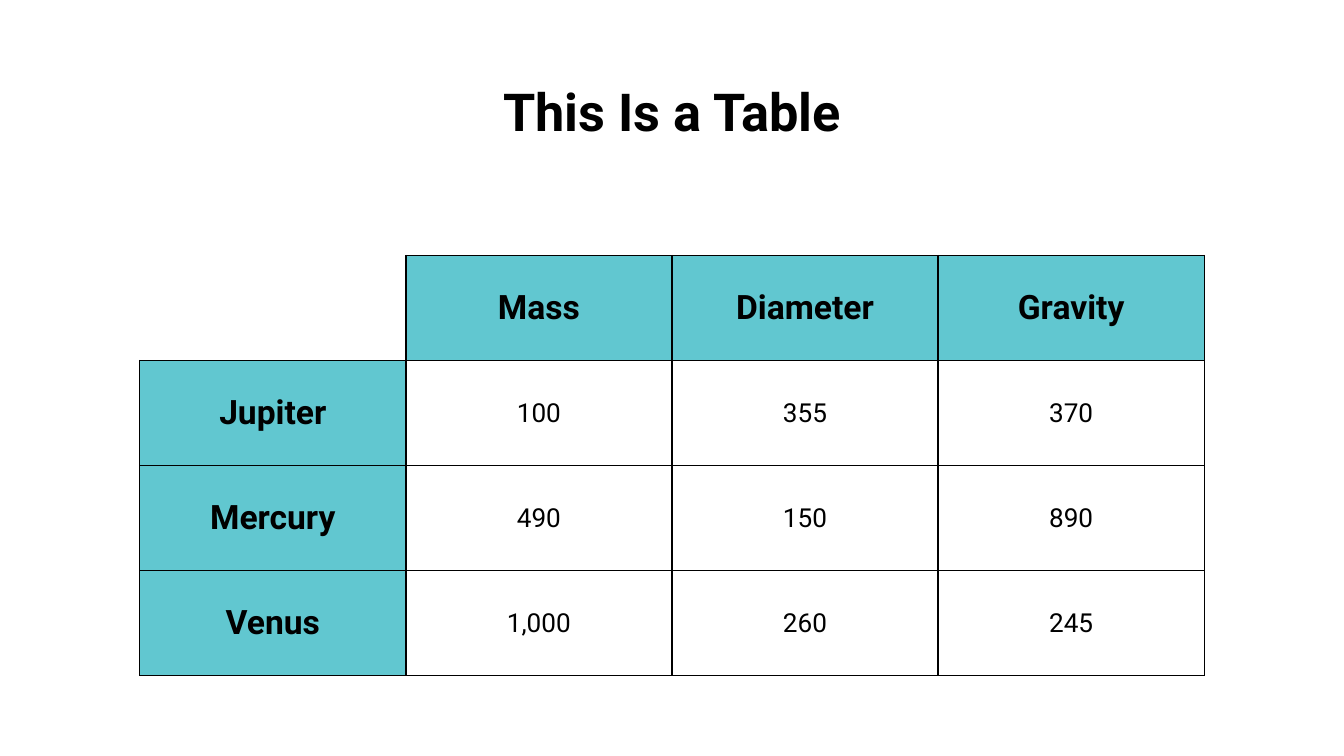
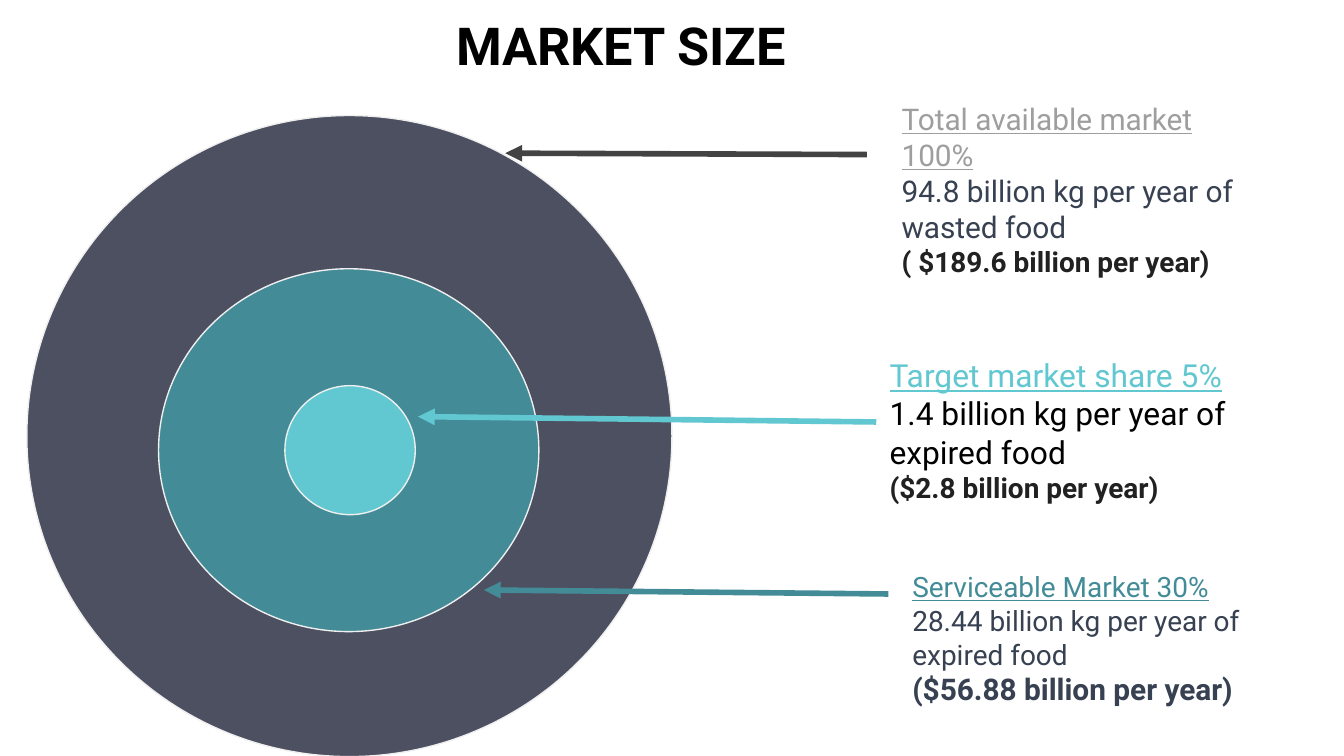
"""Build a planet table slide and a market size slide."""
import pptx
import pptx.chart.data
import pptx.dml.color
import pptx.enum.shapes
import pptx.enum.text
import pptx.oxml
import pptx.oxml.ns
import pptx.util

Inches = pptx.util.Inches
Pt = pptx.util.Pt
MID = pptx.enum.text.PP_ALIGN.CENTER
NS = pptx.oxml.ns.nsdecls("a")
AQUA, TEAL, SLATE = "61C7D0", "438C97", "4D5061"
BLACK, WHITE, PALE = "000000", "FFFFFF", "EFEFEF"
INK, COAL = "374151", "212121"


def color(code):
    return pptx.dml.color.RGBColor.from_string(code)


def write(frame, rows, align=None):
    frame.word_wrap = True
    frame.margin_left = frame.margin_right = Inches(0.1)
    frame.margin_top = frame.margin_bottom = Inches(0.1)
    for i, (text, size, code, style) in enumerate(rows):
        para = frame.add_paragraph() if i else frame.paragraphs[0]
        para.text = text
        para.alignment = align
        para.font.name = "Roboto"
        para.font.size = Pt(size)
        para.font.color.rgb = color(code)
        para.font.bold = style == "bold"
        para.font.underline = style == "line"


deck = pptx.Presentation()
deck.slide_width = Inches(10)
deck.slide_height = Inches(5.625)

slides = []
for title, left, top in [("This Is a Table", 0.78, 0.49), ("MARKET SIZE", 0.4, 0)]:
    slide = deck.slides.add_slide(deck.slide_layouts[6])
    slide.background.fill.solid()
    slide.background.fill.fore_color.rgb = color(WHITE)
    box = slide.shapes.add_textbox(Inches(left), Inches(top), Inches(8.44), Inches(0.63))
    write(box.text_frame, [(title, 28, BLACK, "bold")], MID)
    slides.append(slide)
planets, market = slides

data = [
    ["", "Mass", "Diameter", "Gravity"],
    ["Jupiter", "100", "355", "370"],
    ["Mercury", "490", "150", "890"],
    ["Venus", "1,000", "260", "245"],
]
table = planets.shapes.add_table(
    4, 4, Inches(1.04), Inches(1.9), Inches(7.92), Inches(3.13)).table
table.first_row = table.horz_banding = False
for r, row in enumerate(data):
    for c, text in enumerate(row):
        cell = table.cell(r, c)
        for side in "LRTB":
            bare = not text and side in "LT"
            paint = "<a:noFill/>" if bare else (
                f'<a:solidFill><a:srgbClr val="{BLACK}"/></a:solidFill>')
            cell._tc.get_or_add_tcPr().append(pptx.oxml.parse_xml(
                f'<a:ln{side} {NS} w="9525">{paint}</a:ln{side}>'))
        cell.vertical_anchor = pptx.enum.text.MSO_ANCHOR.MIDDLE
        cell.margin_left = cell.margin_right = Inches(0.1)
        cell.margin_top = cell.margin_bottom = Inches(0.1)
        head = r == 0 or c == 0
        if head and text:
            cell.fill.solid()
            cell.fill.fore_color.rgb = color(AQUA)
        else:
            cell.fill.background()
        if text:
            look = (18, BLACK, "bold") if head else (14, BLACK, "")
            write(cell.text_frame, [(text, *look)], MID)

rings = [
    (SLATE, (0.2, 0.86, 4.8, 4.77), "434343", (6.45, 1.15, 3.76, 1.14),
     (6.61, 0.65, 2.83, 0.78),
     [("Total available market 100%", 16, "9E9E9E", "line"),
      ("94.8 billion kg per year of wasted food", 16, INK, ""),
      ("( $189.6 billion per year)", 15, COAL, "bold")]),
    (TEAL, (1.18, 2, 2.83, 2.7), TEAL, (6.61, 4.42, 3.6, 4.39),
     (6.69, 4.14, 2.76, 1.18),
     [("Serviceable Market 30%", 15, TEAL, "line"),
      ("28.44 billion kg per year of expired food", 15, INK, ""),
      ("($56.88 billion per year)", 16, INK, "bold")]),
    (AQUA, (2.12, 2.87, 0.97, 0.96), AQUA, (6.52, 3.14, 3.11, 3.1),
     (6.52, 2.55, 2.89, 1.18),
     [("Target market share 5%", 17, AQUA, "line"),
      ("1.4 billion kg per year of expired food", 17, BLACK, ""),
      ("($2.8 billion per year)", 15, COAL, "bold")]),
]
for fill, disc, tint, ends, place, rows in rings:
    ring = market.shapes.add_shape(
        pptx.enum.shapes.MSO_SHAPE.OVAL, *map(Inches, disc))
    ring.shadow.inherit = False
    ring.fill.solid()
    ring.fill.fore_color.rgb = color(fill)
    ring.line.color.rgb = color(PALE)
    ring.line.width = Pt(0.75)

    arrow = market.shapes.add_connector(
        pptx.enum.shapes.MSO_CONNECTOR.STRAIGHT, *map(Inches, ends))
    arrow.line.color.rgb = color(tint)
    arrow.line.width = Pt(3)
    arrow.line._get_or_add_ln().append(
        pptx.oxml.parse_xml(f'<a:tailEnd {NS} type="triangle"/>'))
    arrow._element.spPr.append(pptx.oxml.parse_xml(f"<a:effectLst {NS}/>"))

    note = market.shapes.add_textbox(*map(Inches, place))
    write(note.text_frame, rows)

deck.save("out.pptx")
